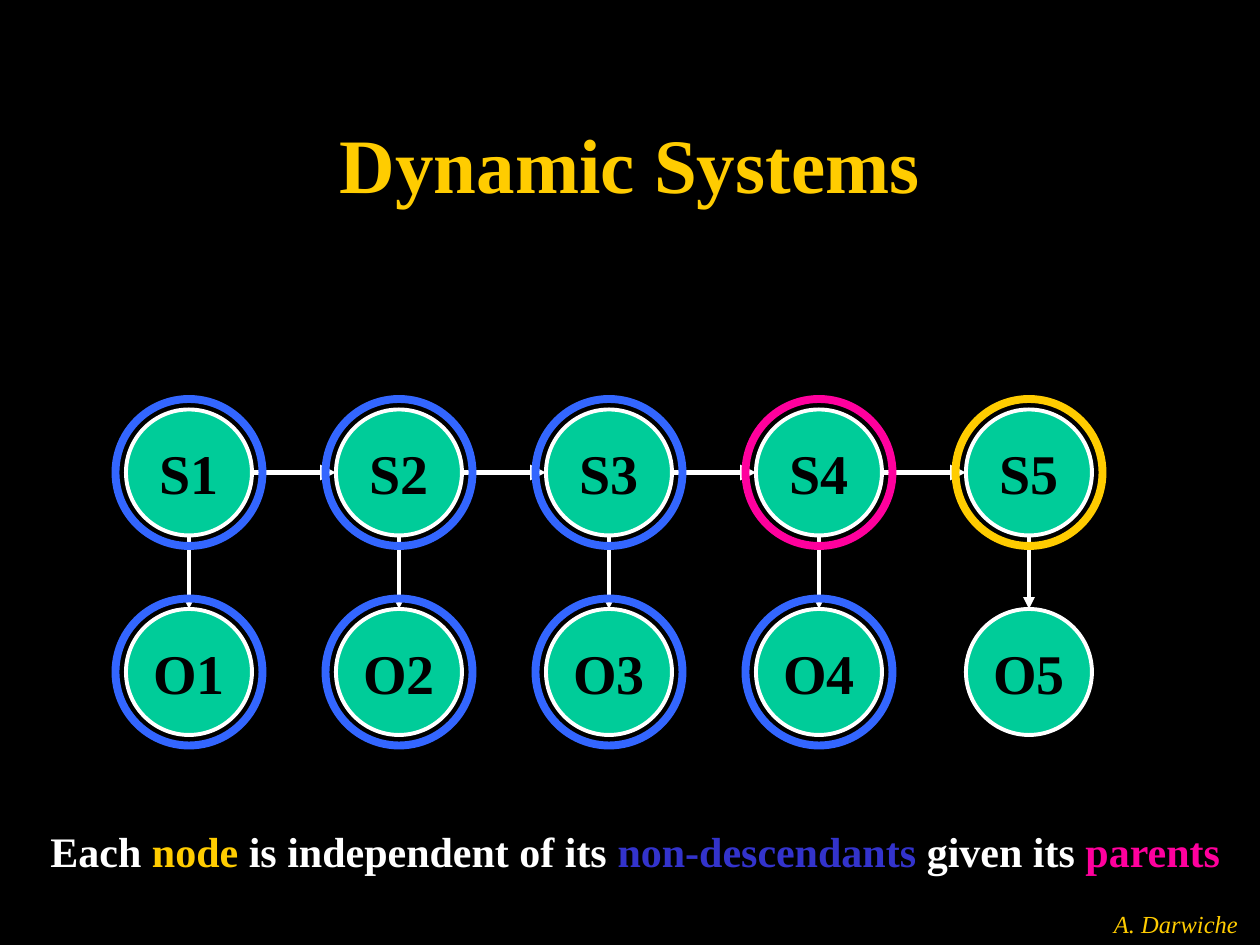
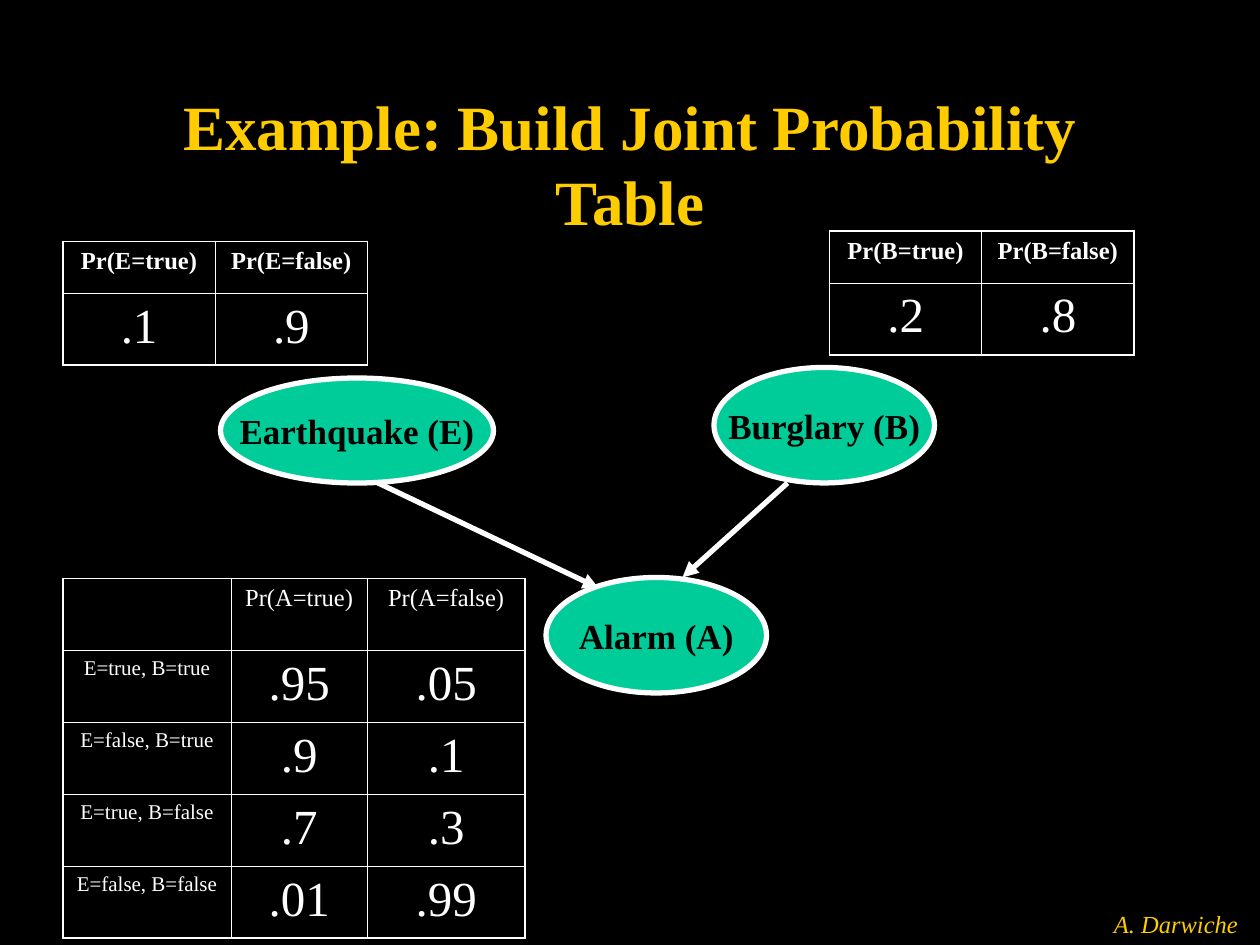
import pptx
import pptx.util
import pptx.dml.color
import pptx.enum.shapes
import pptx.enum.text
import pptx.oxml
import pptx.oxml.ns
import lxml.etree

COLS, ROWS = 120, 90
UNIT = pptx.util.Inches(10) / COLS

BLACK, WHITE, GOLD = "000000", "FFFFFF", "FFCC00"
GREEN, BLUE, INDIGO, PINK = "00CC99", "3366FF", "3333CC", "FF009D"
FONT = "Times New Roman"
THIN, THICK = 0.45, 1.08

FOOTER = "A. Darwiche"
TITLE_BOX = (9, 8, 102, 15)
FOOTER_BOX = (104, 86, 16, 4)

CHAIN = {
    "title": "Dynamic Systems",
    "rows": [
        ("S", 39, [BLUE, BLUE, BLUE, PINK, GOLD]),
        ("O", 58, [BLUE, BLUE, BLUE, BLUE, None]),
    ],
    "left": 12, "pitch": 20, "size": 12, "ring_gap": 1,
    "rule_box": (3.5, 78, 114, 6),
    "rule": [
        ("Each ", WHITE), ("node ", GOLD), ("is independent of its ", WHITE),
        ("non-descendants ", INDIGO), ("given its", WHITE), (" parents", PINK),
    ],
}

ALARM = {
    "title": "Example: Build Joint Probability Table",
    "nodes": [
        ("Earthquake (E)", (21, 36, 26, 10)),
        ("Burglary (B)", (68, 35, 21, 11)),
        ("Alarm (A)", (52, 55, 21, 11)),
    ],
    "arrows": [((36, 46), (57, 56)), ((75, 46), (65, 55))],
    "tables": [
        {"at": (6, 23), "cols": [14.5, 14.5], "rows": [4.95, 6.85], "bold_head": True,
         "cells": [["Pr(E=true)", "Pr(E=false)"], [".1", ".9"]]},
        {"at": (79, 22), "cols": [14.5, 14.5], "rows": [4.95, 6.85], "bold_head": True,
         "cells": [["Pr(B=true)", "Pr(B=false)"], [".2", ".8"]]},
        {"at": (6, 55.1), "cols": [16, 13, 15], "rows": [6.85] * 5, "bold_head": False,
         "cells": [["", "Pr(A=true)", "Pr(A=false)"],
                   ["E=true, B=true", ".95", ".05"],
                   ["E=false, B=true", ".9", ".1"],
                   ["E=true, B=false", ".7", ".3"],
                   ["E=false, B=false", ".01", ".99"]]},
    ],
}


def rgb(value):
    return pptx.dml.color.RGBColor.from_string(value)


def units(*values):
    return [pptx.util.Emu(round(v * UNIT)) for v in values]


def write(tf, runs, size, wrap=False, anchor="MIDDLE", **style):
    frame = {
        "word_wrap": wrap,
        "auto_size": pptx.enum.text.MSO_AUTO_SIZE.NONE,
        "vertical_anchor": pptx.enum.text.MSO_ANCHOR[anchor],
    }
    for name, value in frame.items():
        setattr(tf, name, value)
    fill_paragraph(tf.paragraphs[0], runs, size, **style)


def fill_paragraph(p, runs, size, **style):
    p.alignment = pptx.enum.text.PP_ALIGN.CENTER
    for text, color in runs:
        r = p.add_run()
        r.text = text
        font = {"name": FONT, "size": pptx.util.Pt(size), **style}
        for name, value in font.items():
            setattr(r.font, name, value)
        r.font.color.rgb = rgb(color)


def add_text(s, box, runs, size, **style):
    tf = s.shapes.add_textbox(*units(*box)).text_frame
    write(tf, runs, size, **style)


def add_ellipse(s, box, line, width, fill=None):
    sp = s.shapes.add_shape(pptx.enum.shapes.MSO_SHAPE.OVAL, *units(*box))
    sp.shadow.inherit = False
    if fill:
        sp.fill.solid()
        sp.fill.fore_color.rgb = rgb(fill)
    else:
        sp.fill.background()
    sp.line.color.rgb = rgb(line)
    sp.line.width = pptx.util.Pt(width)
    return sp


def add_node(s, box, label, size, width):
    sp = add_ellipse(s, box, WHITE, width, GREEN)
    write(sp.text_frame, [(label, BLACK)], size, bold=True)


def add_arrow(s, start, end, width):
    kind = pptx.enum.shapes.MSO_CONNECTOR.STRAIGHT
    cx = s.shapes.add_connector(kind, *units(*start, *end))
    cx.line.color.rgb = rgb(WHITE)
    cx.line.width = pptx.util.Pt(width)
    qn = pptx.oxml.ns.qn
    lxml.etree.SubElement(cx.line._get_or_add_ln(), qn("a:tailEnd"), type="triangle")
    lxml.etree.SubElement(cx._element.spPr, qn("a:effectLst"))


def set_borders(cell, widths):
    tcPr = cell._tc.get_or_add_tcPr()
    for i, (side, width) in enumerate(widths.items()):
        ln = pptx.oxml.parse_xml(
            f'<a:{side} {pptx.oxml.ns.nsdecls("a")} w="{pptx.util.Pt(width)}">'
            f'<a:solidFill><a:srgbClr val="{WHITE}"/></a:solidFill></a:{side}>')
        tcPr.insert(i, ln)


def add_table(s, at, cols, rows, cells, bold_head):
    n, m = len(rows), len(cols)
    box = units(*at, sum(cols), sum(rows))
    table = s.shapes.add_table(n, m, *box).table
    table.first_row = table.horz_banding = False
    for col, width in zip(table.columns, units(*cols)):
        col.width = width
    for row, height in zip(table.rows, units(*rows)):
        row.height = height
    for i, row in enumerate(cells):
        for j, text in enumerate(row):
            cell = table.cell(i, j)
            cell.fill.solid()
            cell.fill.fore_color.rgb = rgb(BLACK)
            edges = {"lnL": j == 0, "lnR": j == m - 1, "lnT": i == 0, "lnB": i == n - 1}
            set_borders(cell, {k: THICK if outer else THIN for k, outer in edges.items()})
            size = 14 if i == 0 else 28 if text.startswith(".") else 12
            if text:
                fill_paragraph(cell.text_frame.paragraphs[0], [(text, WHITE)], size,
                               bold=bold_head and i == 0)


def add_slide(prs, title, size):
    s = prs.slides.add_slide(prs.slide_layouts[5])
    sp = s.shapes.title
    for name, value in zip(("left", "top", "width", "height"), units(*TITLE_BOX)):
        setattr(sp, name, value)
    write(sp.text_frame, [(title, GOLD)], size, wrap=True, bold=True)
    add_text(s, FOOTER_BOX, [(FOOTER, GOLD)], 14, italic=True)
    return s


def build_chain(prs):
    s = add_slide(prs, CHAIN["title"], 44)
    size, gap, rows = CHAIN["size"], CHAIN["ring_gap"], CHAIN["rows"]
    state_top, output_top = (top for _, top, _ in rows)
    lefts = [CHAIN["left"] + CHAIN["pitch"] * i for i in range(len(rows[0][2]))]
    for i, x in enumerate(lefts):
        for letter, y, _ in rows:
            add_node(s, (x, y, size, size), f"{letter}{i + 1}", 32, 2.25)
        middle = x + size / 2
        add_arrow(s, (middle, state_top + size), (middle, output_top), 2.25)
    y = state_top + size / 2
    for x, following in zip(lefts, lefts[1:]):
        add_arrow(s, (x + size, y), (following, y), 3)
    ring = size + 2 * gap
    for _, y, colors in rows:
        for x, color in zip(lefts, colors):
            if color:
                add_ellipse(s, (x - gap, y - gap, ring, ring), color, 4.5)
    add_text(s, CHAIN["rule_box"], CHAIN["rule"], 24, anchor="TOP", bold=True)


def build_alarm(prs):
    s = add_slide(prs, ALARM["title"], 36)
    for label, box in ALARM["nodes"]:
        add_node(s, box, label, 20, 3)
    for start, end in ALARM["arrows"]:
        add_arrow(s, start, end, 3)
    for table in ALARM["tables"]:
        add_table(s, **table)


def main():
    prs = pptx.Presentation()
    prs.slide_width, prs.slide_height = units(COLS, ROWS)
    fill = prs.slide_master.background.fill
    fill.solid()
    fill.fore_color.rgb = rgb(BLACK)
    build_chain(prs)
    build_alarm(prs)
    prs.save("out.pptx")


if __name__ == "__main__":
    main()
